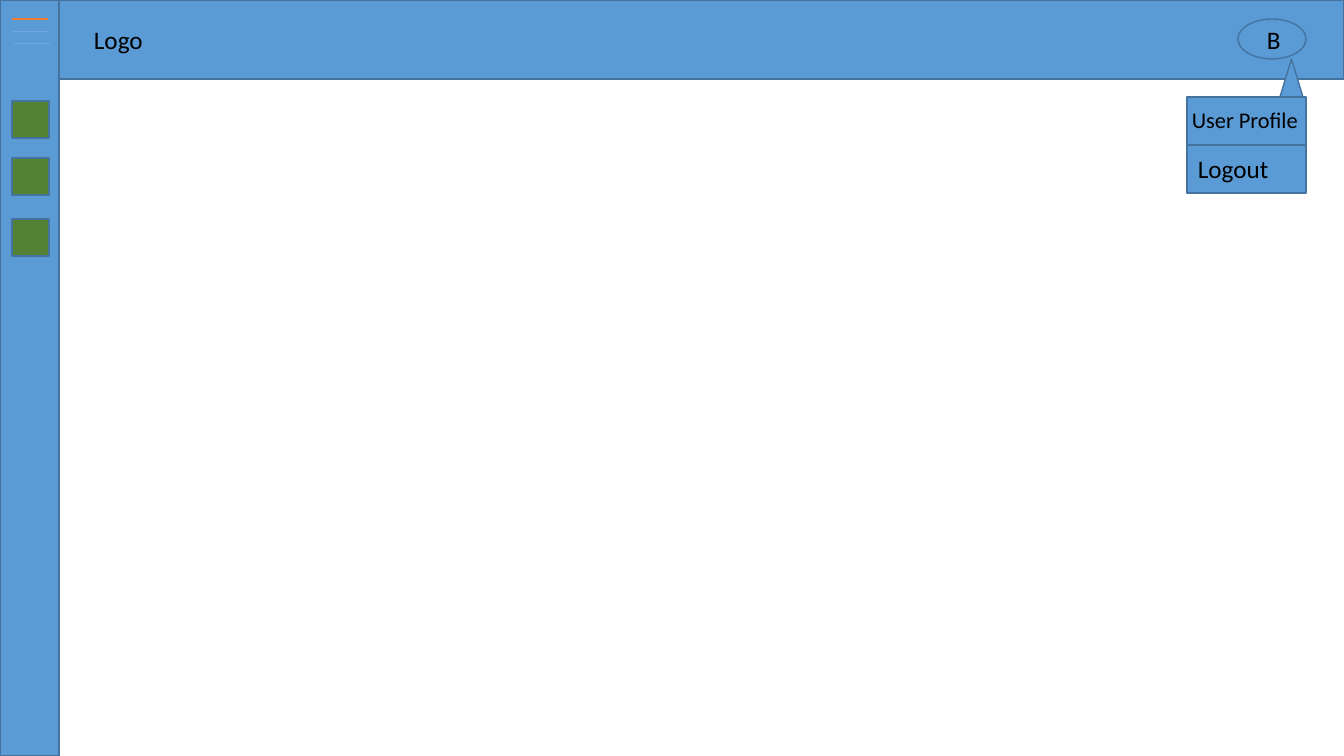
from lxml import etree
from pptx import Presentation
from pptx.dml.color import RGBColor
from pptx.enum.shapes import MSO_CONNECTOR, MSO_SHAPE
from pptx.oxml.ns import qn
from pptx.util import Pt

RECT = MSO_SHAPE.RECTANGLE
OVAL = MSO_SHAPE.OVAL
TRIANGLE = MSO_SHAPE.ISOSCELES_TRIANGLE
STRAIGHT = MSO_CONNECTOR.STRAIGHT

PX = 914400 / 100.8
BLUE, GREEN, OUTLINE = "5B9BD5", "548235", "43739E"
ORANGE, PALE_BLUE, BLACK = "ED7D31", "71A6DB", "000000"


def px(*lengths):
    return [round(n * PX) for n in lengths]


def rgb(color):
    return RGBColor.from_string(color)


prs = Presentation()
prs.slide_width, prs.slide_height = px(1344, 756)
s = prs.slides.add_slide(prs.slide_layouts[6])

# Header, sidebar, user badge, menu and sidebar icons
shapes = [
    (RECT, 0, 0, 1344, 79, BLUE),
    (RECT, 0, 0, 59, 756, BLUE),
    (OVAL, 1238, 19, 68, 40, BLUE),
    (TRIANGLE, 1280, 59, 23, 38, BLUE),
    (RECT, 1187, 97, 119, 48, BLUE),
    (RECT, 1187, 145, 119, 48, BLUE),
]
shapes += [(RECT, 12, top, 37, 37, GREEN) for top in (101, 158, 219)]
for kind, x, y, w, h, fill in shapes:
    sp = s.shapes.add_shape(kind, *px(x, y, w, h))
    sp.shadow.inherit = False
    sp.fill.solid()
    sp.fill.fore_color.rgb = rgb(fill)
    sp.line.color.rgb = rgb(OUTLINE)
    sp.line.width = Pt(1)

# Labels
for text, x, y, w, h, size in [
    ("Logo", 84, 19, 124, 40, 18),
    ("B", 1257, 19, 45, 40, 18),
    ("Logout", 1188, 148, 125, 40, 18),
    ("User Profile", 1182, 101, 132, 37, 16),
]:
    tf = s.shapes.add_textbox(*px(x, y, w, h)).text_frame
    tf.word_wrap = True
    tf.text = text
    font = tf.paragraphs[0].runs[0].font
    font.name = "Calibri"
    font.size = Pt(size)
    font.color.rgb = rgb(BLACK)

# Hamburger menu
for x, y, color, width in [
    (12, 19, ORANGE, 1.5),
    (12, 31, PALE_BLUE, 0.5),
    (14, 43, PALE_BLUE, 0.5),
]:
    bar = s.shapes.add_connector(STRAIGHT, *px(x, y, x + 36, y))
    bar.line.color.rgb = rgb(color)
    bar.line.width = Pt(width)
    etree.SubElement(bar._element.spPr, qn("a:effectLst"))

prs.save("out.pptx")
